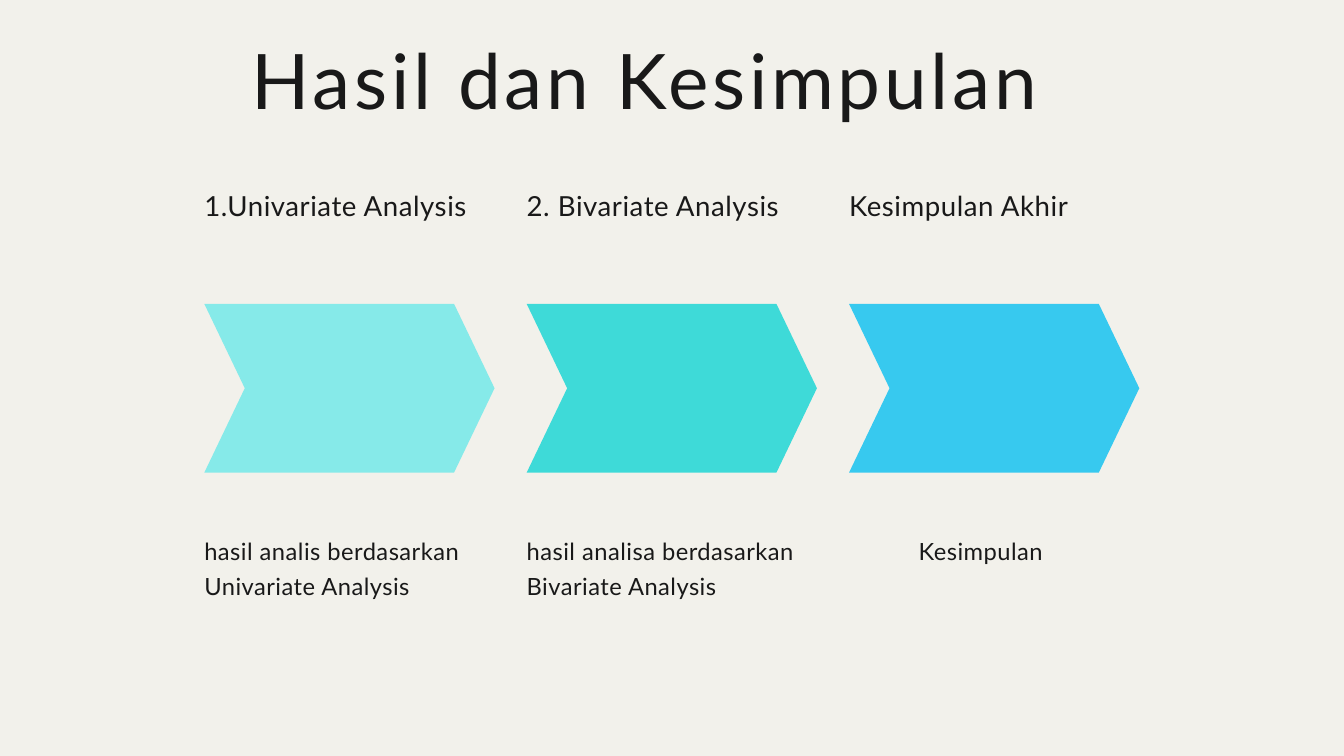
import pptx
import pptx.dml.color
import pptx.enum.shapes
import pptx.enum.text
import pptx.util

Pt = pptx.util.Pt
Align = pptx.enum.text.PP_ALIGN

INK = "191919"
LEFT, PITCH, WIDTH = 218.9, 345.4, 311.5

# heading, chevron colour, caption lines, caption indent
STEPS = [
    ("1.Univariate Analysis", "86EAE9",
     ["hasil analis berdasarkan Univariate Analysis"], 0),
    ("2. Bivariate Analysis", "3EDAD8",
     ["hasil analisa berdasarkan", "Bivariate Analysis"], 0),
    ("Kesimpulan Akhir", "37C9EF", ["Kesimpulan"], 74.5),
]


def color(code):
    return pptx.dml.color.RGBColor.from_string(code)


def add_text(slide, lines, box, size, lead, track, align=Align.LEFT):
    frame = slide.shapes.add_textbox(*map(Pt, box)).text_frame
    frame.word_wrap = True
    frame.margin_left = frame.margin_right = 0
    frame.margin_top = frame.margin_bottom = 0
    frame.text = "\n".join(lines)
    for para in frame.paragraphs:
        para.alignment = align
        para.line_spacing = Pt(lead)
        para.font.name = "Lato"
        para.font.size = Pt(size)
        para.font.color.rgb = color(INK)
        # Letter spacing, in hundredths of a point
        for run in para.runs:
            run._r.get_or_add_rPr().set("spc", str(round(track * 100)))


def add_arrow(slide, left, fill):
    kind = pptx.enum.shapes.MSO_SHAPE.CHEVRON
    arrow = slide.shapes.add_shape(
        kind, Pt(left), Pt(325.6), Pt(311), Pt(180.8))
    arrow.adjustments[0] = 0.24
    arrow.shadow.inherit = False
    arrow.fill.solid()
    arrow.fill.fore_color.rgb = color(fill)
    arrow.line.fill.background()


def main():
    deck = pptx.Presentation()
    deck.slide_width, deck.slide_height = Pt(1440), Pt(810)
    slide = deck.slides.add_slide(deck.slide_layouts[6])
    slide.background.fill.solid()
    slide.background.fill.fore_color.rgb = color("F2F1EB")

    # Title
    add_text(slide, ["Hasil dan Kesimpulan"], (213.8, 18.7, 954.7, 110.9),
             82, 114.8, 4.1, Align.CENTER)

    # One column per step: heading, chevron, caption
    for i, (head, fill, lines, indent) in enumerate(STEPS):
        left = LEFT + i * PITCH
        add_text(slide, [head], (left, 193.7, WIDTH, 43.2), 29.6, 44.4, 0.6)
        add_arrow(slide, left, fill)
        high = 37.6 if indent else 75.6
        add_text(slide, lines, (left + indent, 567.4, WIDTH, high),
                 25.4, 38.1, 0.5)

    deck.save("out.pptx")


if __name__ == "__main__":
    main()
